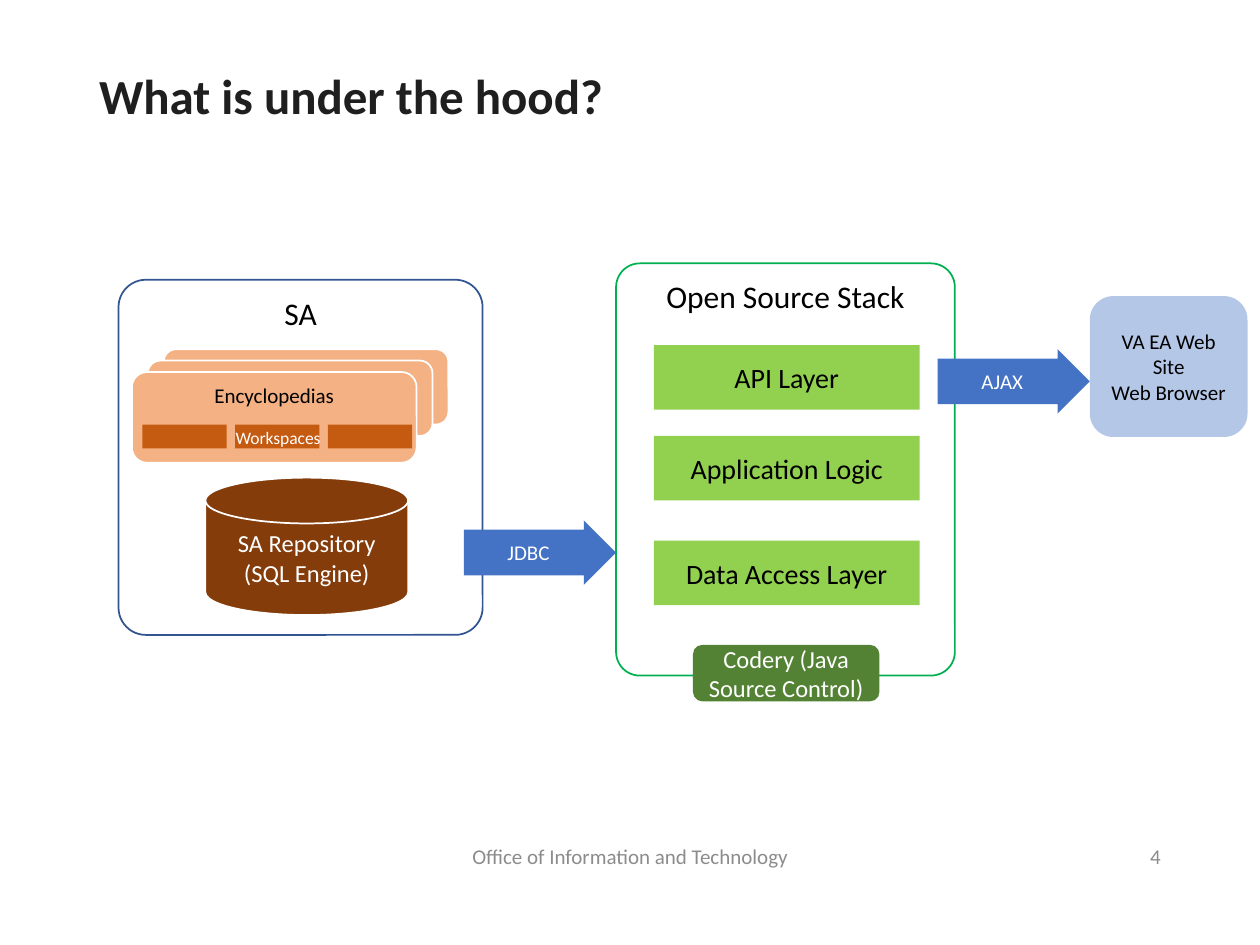
from dataclasses import dataclass

from pptx import Presentation
from pptx.dml.color import RGBColor
from pptx.enum.shapes import MSO_SHAPE as Preset
from pptx.enum.text import MSO_ANCHOR as Anchor, PP_ALIGN as Align
from pptx.util import Cm, Pt


@dataclass(frozen=True)
class Theme:
    font: str = "Calibri"
    white: str = "FFFFFF"
    black: str = "000000"
    title: str = "1F1F1F"
    footer: str = "8C8C8C"
    repository_border: str = "325491"
    stack_border: str = "00B050"
    card: str = "F4B183"
    workspace: str = "C55A11"
    disk: str = "843C0B"
    arrow: str = "4472C4"
    layer: str = "92D050"
    browser: str = "B4C7E7"
    control: str = "548235"
    title_size: int = 28
    panel_size: int = 18
    layer_size: int = 16
    body_size: int = 14
    label_size: int = 12
    small_size: int = 10


theme = Theme()

# Content: wording with left, top, width, height in centimetres
title = ("What is under the hood?", (1.75, 1.04, 21.92, 1.91))
footer = ("Office of Information and Technology", (8.41, 16.74, 8.59, 1.02))
page_number = ("4", (17.93, 16.74, 5.72, 1.02))
repository_panel = ("SA", (2.39, 5.64, 7.34, 7.16))
stack_panel = ("Open Source Stack", (12.42, 5.31, 6.83, 8.31))
disk = ("SA Repository\n(SQL Engine)", (4.14, 9.63, 4.09, 2.77))
browser = ("VA EA Web Site\nWeb Browser", (21.97, 5.97, 3.18, 2.84))
control = ("Codery (Java Source Control)", (13.97, 13.0, 3.76, 1.14))
cards = [("", 1.52), ("", 1.52), ("Encyclopedias", 1.83)]
workspace_label = ("Workspaces", (4.5, 8.48, 2.64, 0.69))
layers = [("API Layer", 6.96), ("Application Logic", 8.79), ("Data Access Layer", 10.9)]
arrows = [("JDBC", 9.35, 10.49), ("AJAX", 18.9, 7.04)]

presentation = Presentation()
presentation.slide_width, presentation.slide_height = Cm(25.4), Cm(19.05)
slide = presentation.slides.add_slide(presentation.slide_layouts[6])


def write(shape, text, size, color, align=Align.CENTER, anchor=Anchor.MIDDLE,
          bold=False, wrap=True):
    frame = shape.text_frame
    frame.word_wrap = wrap
    frame.vertical_anchor = anchor
    frame.text = text
    for paragraph in frame.paragraphs:
        paragraph.alignment = align
        for run in paragraph.runs:
            run.font.name = theme.font
            run.font.size = Pt(size)
            run.font.bold = bold
            run.font.color.rgb = RGBColor.from_string(color)


def add_text(text, box, size, color, **style):
    shape = slide.shapes.add_textbox(*map(Cm, box))
    write(shape, text, size, color, **style)
    return shape


def add_box(preset, box, fill=None, line=None, adjustments=(), text="",
            size=theme.label_size, color=theme.black, **style):
    shape = slide.shapes.add_shape(preset, *map(Cm, box))
    shape.shadow.inherit = False
    for index, value in enumerate(adjustments):
        shape.adjustments[index] = value
    if fill:
        shape.fill.solid()
        shape.fill.fore_color.rgb = RGBColor.from_string(fill)
    else:
        shape.fill.background()
    if line:
        shape.line.color.rgb = RGBColor.from_string(line)
        shape.line.width = Pt(1)
    else:
        shape.line.fill.background()
    if text:
        write(shape, text, size, color, **style)
    return shape


# Title and footer
heading = add_text(*title, theme.title_size, theme.title, align=Align.LEFT, bold=True)
heading.text_frame.paragraphs[0].line_spacing = 0.9
add_text(*footer, theme.label_size, theme.footer)
add_text(*page_number, theme.label_size, theme.footer, align=Align.RIGHT)

# Panels
for (text, box), border, corner in [
    (repository_panel, theme.repository_border, 0.077),
    (stack_panel, theme.stack_border, 0.07),
]:
    add_box(Preset.ROUNDED_RECTANGLE, box, line=border, adjustments=[corner],
            text=text, size=theme.panel_size, anchor=Anchor.TOP)

# Repository disk
text, box = disk
add_box(Preset.FLOWCHART_MAGNETIC_DISK, box, theme.disk, theme.white,
        text=text, size=theme.body_size, color=theme.white)

# Cascading encyclopedia cards with their workspaces
for index, (text, height) in enumerate(cards):
    box = (3.3 - 0.32 * index, 7.04 + 0.23 * index, 5.74, height)
    add_box(Preset.ROUNDED_RECTANGLE, box, theme.card, theme.white,
            text=text, anchor=Anchor.TOP)
for index in range(3):
    add_box(Preset.RECTANGLE, (2.87 + 1.87 * index, 8.56, 1.7, 0.48), theme.workspace)
add_text(*workspace_label, theme.small_size, theme.white, align=Align.LEFT)

# Stack layers
for text, top in layers:
    add_box(Preset.RECTANGLE, (13.18, top, 5.36, 1.3), theme.layer,
            text=text, size=theme.layer_size)

# Connections
for text, left, top in arrows:
    add_box(Preset.RIGHT_ARROW, (left, top, 3.07, 1.3), theme.arrow,
            adjustments=[0.708, 0.5], text=text, color=theme.white)

# Browser and source control
for (text, box), fill, size, color in [
    (browser, theme.browser, theme.label_size, theme.black),
    (control, theme.control, theme.body_size, theme.white),
]:
    add_box(Preset.ROUNDED_RECTANGLE, box, fill, text=text, size=size, color=color)

presentation.save("out.pptx")
